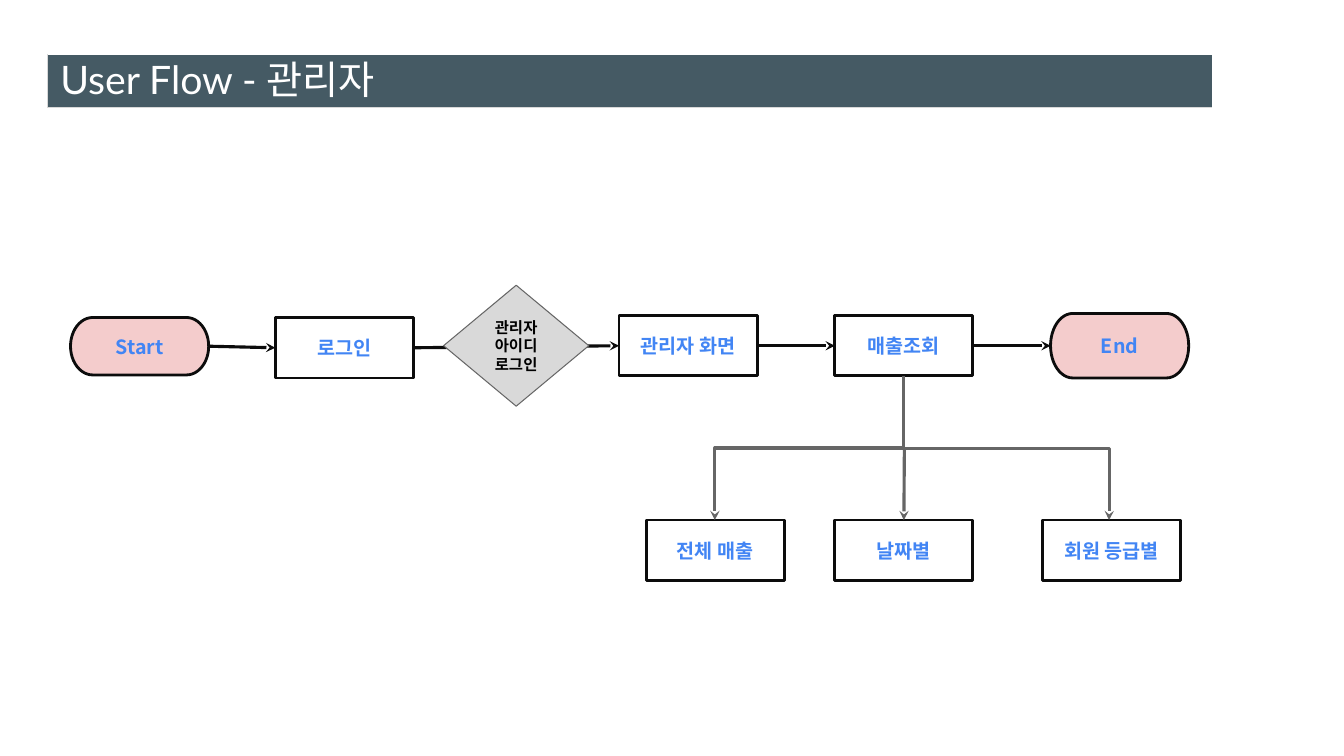
import pptx
import pptx.dml.color
import pptx.enum.shapes
import pptx.enum.text
import pptx.oxml
import pptx.oxml.ns
import pptx.util

RGB = pptx.dml.color.RGBColor
SHAPE = pptx.enum.shapes.MSO_SHAPE
LINK = pptx.enum.shapes.MSO_CONNECTOR
ALIGN = pptx.enum.text.PP_ALIGN
MIDDLE = pptx.enum.text.MSO_ANCHOR.MIDDLE

SLATE = RGB(0x45, 0x5A, 0x64)
EDGE = RGB(0xD8, 0xD8, 0xD8)
WHITE = RGB(0xFF, 0xFF, 0xFF)
BLACK = RGB(0, 0, 0)
INK = RGB(0x0C, 0x0C, 0x0C)
GRAY = RGB(0x66, 0x66, 0x66)
SILVER = RGB(0xD9, 0xD9, 0xD9)
PINK = RGB(0xF4, 0xCC, 0xCC)
BLUE = RGB(0x42, 0x85, 0xF4)

KOREAN = "Noto Sans CJK KR"
TOP, LEFT, BOTTOM, RIGHT = range(4)
WIDE, HIGH = 137, 60


def px(count):
    """Turn px (100 to the inch) into EMU."""
    return pptx.util.Emu(count * 9144)


def add_xml(parent, text):
    start, rest = text.split(" ", 1)
    parent.append(pptx.oxml.parse_xml(
        f"{start} {pptx.oxml.ns.nsdecls('a')} {rest}"))


def write(frame, text, face, size, color, bold=True, align=ALIGN.CENTER):
    frame.word_wrap = True
    frame.vertical_anchor = MIDDLE
    para = frame.paragraphs[0]
    para.alignment = align
    run = para.add_run()
    run.text = text
    font = run.font
    font.name, font.size, font.bold = face, pptx.util.Pt(size), bold
    font.color.rgb = color
    add_xml(font._element, f'<a:ea typeface="{face}"/>')


def add_band(slide):
    """Draw the one-cell table behind the title."""
    table = slide.shapes.add_table(1, 1, px(47), px(54), px(1156), px(53)).table
    cell = table.cell(0, 0)
    props = cell._tc.get_or_add_tcPr()
    for side in ("lnL", "lnB"):
        add_xml(props, f'<a:{side} w="9525"><a:solidFill><a:srgbClr val="{EDGE}"/>'
                       f'</a:solidFill></a:{side}>')
    cell.fill.solid()
    cell.fill.fore_color.rgb = SLATE


def add_title(slide, text):
    box = slide.shapes.add_textbox(px(50), px(45), px(1249), px(67))
    write(box.text_frame, text, "Lato", 28, WHITE, False, ALIGN.LEFT)


def add_node(slide, kind, x, y, wide, high, fill, edge, weight):
    node = slide.shapes.add_shape(kind, px(x), px(y), px(wide), px(high))
    node.shadow.inherit = False
    node.fill.solid()
    node.fill.fore_color.rgb = fill
    node.line.color.rgb = edge
    node.line.width = pptx.util.Pt(weight)
    return node


def add_step(slide, text, x, y, high=HIGH, kind=SHAPE.RECTANGLE, fill=WHITE):
    node = add_node(slide, kind, x, y, WIDE, high, fill, INK, 2)
    write(node.text_frame, text, KOREAN, 14, BLUE)
    return node


def add_end(slide, text, x, y, high):
    return add_step(slide, text, x, y, high, SHAPE.FLOWCHART_TERMINATOR, PINK)


def add_check(slide, text):
    node = add_node(slide, SHAPE.DIAMOND, 440, 283, 144, 120, SILVER, GRAY, 0.75)
    frame = node.text_frame
    frame.margin_top = frame.margin_bottom = px(10)
    write(frame, text, "Arial", 11, BLACK)


def add_arrow(slide, kind, color, x1=0, y1=0, x2=0, y2=0):
    arrow = slide.shapes.add_connector(kind, px(x1), px(y1), px(x2), px(y2))
    arrow.line.color.rgb = color
    arrow.line.width = pptx.util.Pt(2.25)
    add_xml(arrow.line._get_or_add_ln(), '<a:tailEnd type="stealth"/>')
    add_xml(arrow._element.spPr, '<a:effectLst />')
    return arrow


def join(slide, first, second):
    """Link two steps of the main row."""
    arrow = add_arrow(slide, LINK.STRAIGHT, INK)
    arrow.begin_connect(first, RIGHT)
    arrow.end_connect(second, LEFT)


def add_forks(slide, target):
    """Draw the branches from the sales step to the three reports."""
    # A quarter turn makes this elbow leave downwards.
    left = add_arrow(slide, LINK.ELBOW, GRAY, 731, 351, 874, 538)
    left._element.spPr.xfrm.set("rot", "5400000")
    right = add_arrow(slide, LINK.ELBOW, GRAY, 896, 445, 1100, 516)
    shape = right._element.spPr.prstGeom
    add_xml(shape.get_or_add_avLst(), '<a:gd name="adj1" fmla="val 100100"/>')
    down = add_arrow(slide, LINK.STRAIGHT, GRAY, 897, 445, 896, 516)
    down.end_connect(target, TOP)


def main():
    deck = pptx.Presentation()
    deck.slide_width, deck.slide_height = px(1333), px(750)
    slide = deck.slides.add_slide(deck.slide_layouts[6])
    add_band(slide)
    add_title(slide, "User Flow - 관리자")

    start = add_end(slide, "Start", 70, 315, 57)
    login = add_step(slide, "로그인", 273, 315)
    admin = add_step(slide, "관리자 화면", 614, 313)
    sales = add_step(slide, "매출조회", 828, 313)
    end = add_end(slide, "End", 1042, 311, 64)
    row = [start, login, admin, sales, end]
    for first, second in zip(row, row[1:]):
        join(slide, first, second)
    add_check(slide, "관리자 아이디 로그인")

    reports = [add_step(slide, text, x, 516) for text, x in
               (("전체 매출", 641), ("날짜별", 828), ("회원 등급별", 1034))]
    add_forks(slide, reports[1])
    deck.save("out.pptx")


if __name__ == "__main__":
    main()
